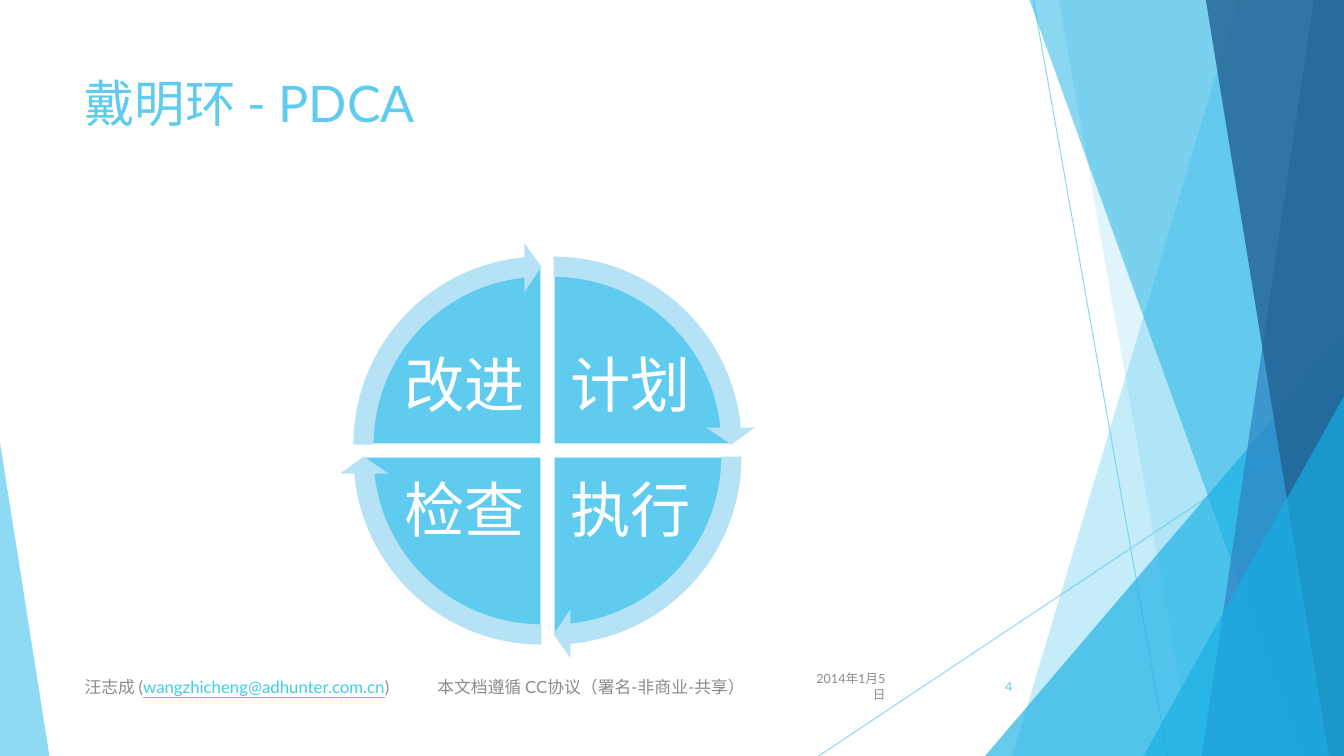
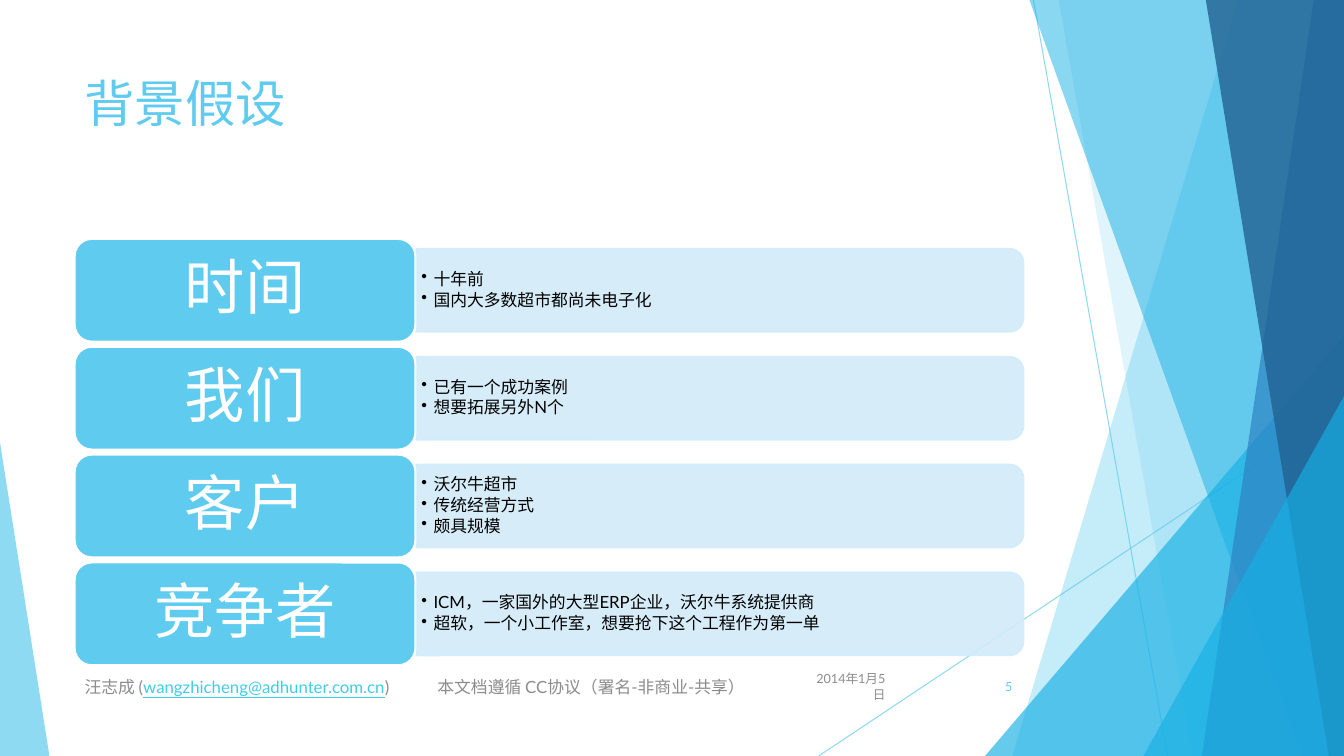
from lxml.etree import SubElement
from pptx import Presentation
from pptx.dml.color import RGBColor
from pptx.enum.shapes import MSO_CONNECTOR as Connector, MSO_SHAPE as Shape
from pptx.enum.text import MSO_ANCHOR as Anchor, PP_ALIGN as Align
from pptx.oxml.ns import qn
from pptx.util import Inches, Pt

WIDTH, HEIGHT = 13.33, 7.5
FONT = "Lato"
COLORS = {
    "sky": "5FCBEF",
    "azure": "17B0E4",
    "blue": "2E83C3",
    "navy": "226292",
    "arrow": "B6E2F6",
    "panel": "D2ECF9",
    "white": "FFFFFF",
    "black": "000000",
    "gray": "8C8C8C",
    "link": "3FCDE7",
}
LABEL_SIZE = 43

# Top x, bottom x, colour, opacity; every band reaches the right edge.
BANDS_BEHIND = [(12.28, 10.04, "sky", 36), (10.5, 11.83, "sky", 20)]
BANDS_FRONT = [
    (10.21, 12.91, "azure", 50),
    (13.03, 11.92, "blue", 70),
    (11.96, 13.18, "navy", 80),
]

# Text, column side, row side, start angle (a quarter turn is 54 units).
QUARTERS = [
    ("计划", 1, -1, 162),
    ("执行", 1, 1, 0),
    ("检查", -1, 1, 54),
    ("改进", -1, -1, 108),
]
QUARTER_TURN, FULL_TURN = 54, 216

ASSUMPTIONS = [
    ("时间", ["十年前", "国内大多数超市都尚未电子化"]),
    ("我们", ["已有一个成功案例", "想要拓展另外N个"]),
    ("客户", ["沃尔牛超市", "传统经营方式", "颇具规模"]),
    ("竞争者", ["ICM，一家国外的大型ERP企业，沃尔牛系统提供商",
             "超软，一个小工作室，想要抢下这个工程作为第一单"]),
]


def rgb(name):
    return RGBColor.from_string(COLORS[name])


def centered(x, y, width, height):
    """Return left, top, width, height of a box around a centre."""
    return x - width / 2, y - height / 2, width, height


class Deck:
    def __init__(self):
        self.show = Presentation()
        self.show.slide_width = Inches(WIDTH)
        self.show.slide_height = Inches(HEIGHT)
        self.page = None

    def new_page(self, title):
        self.page = self.show.slides.add_slide(self.show.slide_layouts[6])
        self.backdrop()
        self.text((0.74, 0.67, 9.4, 1.44), [[(title, "sky")]], 36, anchor=Anchor.TOP)

    def backdrop(self):
        self.line((10.25, 0), (11.58, HEIGHT))
        self.line((WIDTH, 4.03), (8.12, HEIGHT))
        for band in BANDS_BEHIND:
            self.band(*band)
        self.triangle(9.77, 3.33, 3.56, "azure", 66, 1)
        for band in BANDS_FRONT:
            self.band(*band)
        self.triangle(11.34, 3.93, 1.99, "azure", 66, 1)
        self.triangle(0, 4.39, 0.49, "sky", 70, 0)

    def footer(self, number):
        self.text((7.88, 6.61, 1, 0.4), [[("2014年1月5日", "gray")]], 9, Align.RIGHT)
        self.text((9.39, 6.61, 0.75, 0.4), [[(str(number), "sky")]], 9, Align.RIGHT)
        box = self.text((0.74, 6.61, 6.89, 0.4), [[
            ("汪志成 (", "gray"),
            ("wangzhicheng@adhunter.com.cn", "link"),
            (")\t本文档遵循 CC协议（署名-非商业-共享）", "gray"),
        ]], 12)
        para = box.text_frame.paragraphs[0]
        para.runs[1].font.underline = True
        tabs = SubElement(para._p.get_or_add_pPr(), qn("a:tabLst"))
        SubElement(tabs, qn("a:tab"), pos=str(Inches(3.5)), algn="l")

    def fade(self, shape, opacity):
        """Set the opacity, in percent, of the shape's fill and line."""
        for color in shape._element.spPr.iter(qn("a:srgbClr")):
            SubElement(color, qn("a:alpha"), val=str(opacity * 1000))

    def paint(self, shape, fill, line=None, opacity=100):
        shape.shadow.inherit = False
        shape.fill.solid()
        shape.fill.fore_color.rgb = rgb(fill)
        if line:
            shape.line.color.rgb = rgb(line)
            shape.line.width = Pt(1.5)
        else:
            shape.line.fill.background()
        if opacity < 100:
            self.fade(shape, opacity)
        return shape

    def shape(self, kind, place, fill, line=None, opacity=100, adjust=()):
        shape = self.page.shapes.add_shape(kind, *map(Inches, place))
        for index, value in enumerate(adjust):
            shape.adjustments[index] = value
        return self.paint(shape, fill, line, opacity)

    def triangle(self, left, top, width, fill, opacity, apex):
        """Add a triangle that stands on the bottom edge of the slide."""
        place = (left, top, width, HEIGHT - top)
        self.shape(Shape.ISOSCELES_TRIANGLE, place, fill, None, opacity, [apex])

    def band(self, top_x, bottom_x, fill, opacity):
        builder = self.page.shapes.build_freeform(Inches(top_x), 0)
        corners = [(WIDTH, 0), (WIDTH, HEIGHT), (bottom_x, HEIGHT)]
        builder.add_line_segments([(Inches(x), Inches(y)) for x, y in corners])
        self.paint(builder.convert_to_shape(), fill, None, opacity)

    def line(self, start, end):
        line = self.page.shapes.add_connector(
            Connector.STRAIGHT, *map(Inches, start + end))
        line.line.color.rgb = rgb("sky")
        line.line.width = Pt(0.75)
        self.fade(line, 70)
        SubElement(line._element.spPr, qn("a:effectLst"))

    def text(self, place, paras, size, align=Align.LEFT, anchor=Anchor.MIDDLE,
             insets=(0.1, 0.05)):
        box = self.page.shapes.add_textbox(*map(Inches, place))
        self.set_text(box, paras, size, align, anchor, insets)
        return box

    def set_text(self, shape, paras, size, align, anchor, insets):
        """Fill a shape with paragraphs, each a list of (text, colour) runs."""
        frame = shape.text_frame
        frame.word_wrap = True
        frame.vertical_anchor = anchor
        frame.margin_left = frame.margin_right = Inches(insets[0])
        frame.margin_top = frame.margin_bottom = Inches(insets[1])
        for index, spans in enumerate(paras):
            para = frame.add_paragraph() if index else frame.paragraphs[0]
            para.alignment = align
            for words, color in spans:
                span = para.add_run()
                span.text = words
                span.font.name = FONT
                span.font.size = Pt(size)
                span.font.color.rgb = rgb(color)

    def label(self, shape, words, insets):
        """Put one large centred white word in a shape."""
        self.set_text(shape, [[(words, "white")]], LABEL_SIZE,
                      Align.CENTER, Anchor.MIDDLE, insets)
        shape.text_frame.paragraphs[0].line_spacing = 0.9

    def bullets(self, place, items):
        box = self.text(place, [[(item, "black")] for item in items], 12,
                        insets=(0.05, 0.03))
        for para in box.text_frame.paragraphs:
            para.line_spacing = 0.9
            para.space_after = Pt(1.8)
            props = para._p.get_or_add_pPr()
            props.set("marL", str(Inches(0.12)))
            props.set("indent", str(-Inches(0.12)))
            SubElement(props, qn("a:buChar"), char="•")


def draw_cycle(deck):
    center_x, center_y, gap = 5.43, 4.47, 0.06
    for words, side_x, side_y, start in QUARTERS:
        end = (start + QUARTER_TURN) % FULL_TURN
        place = centered(center_x + side_x * gap, center_y + side_y * gap, 3.57, 3.57)
        deck.shape(Shape.PIE, place, "sky", "white", adjust=[start, end])
        place = centered(center_x + side_x * 0.82, center_y + side_y * 0.62, 1.32, 0.98)
        box = deck.page.shapes.add_textbox(*map(Inches, place))
        deck.label(box, words, (0.06, 0.06))
    thickness, head_angle, head_width = 0.05, 3.28, 0.06
    for _, side_x, side_y, start in QUARTERS:
        place = centered(center_x + side_x * gap, center_y + side_y * gap, 4.01, 4.01)
        tip = start + QUARTER_TURN - head_angle
        deck.shape(Shape.CIRCULAR_ARROW, place, "arrow",
                   adjust=[thickness, head_angle, tip, start, head_width])


def draw_assumptions(deck):
    first_top, pitch, height = 2.37, 1.07, 1.02
    for row, (words, items) in enumerate(ASSUMPTIONS):
        top = first_top + row * pitch
        middle = top + height / 2
        panel = deck.shape(Shape.ROUND_2_SAME_RECTANGLE,
                           centered(7.14, middle, 0.82, 6.02), "panel", "panel", 90)
        panel.rotation = 90
        deck.bullets((4.13, middle - 0.37, 5.98, 0.74), items)
        tile = deck.shape(Shape.ROUNDED_RECTANGLE, (0.74, top, 3.38, height),
                          "sky", "white")
        deck.label(tile, words, (0.18, 0.09))


def main():
    deck = Deck()
    pages = [("戴明环 - PDCA", draw_cycle), ("背景假设", draw_assumptions)]
    for number, (title, draw) in enumerate(pages, start=4):
        deck.new_page(title)
        draw(deck)
        deck.footer(number)
    deck.show.save("out.pptx")


if __name__ == "__main__":
    main()
